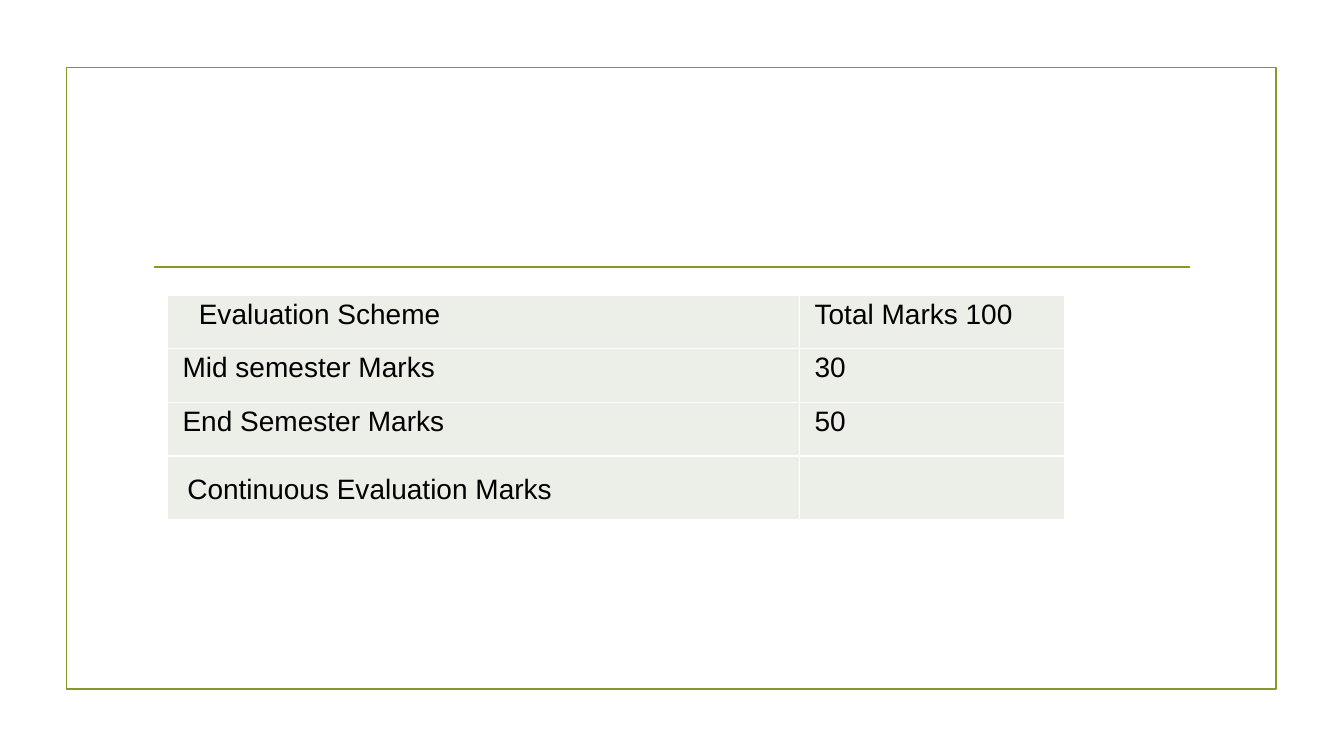
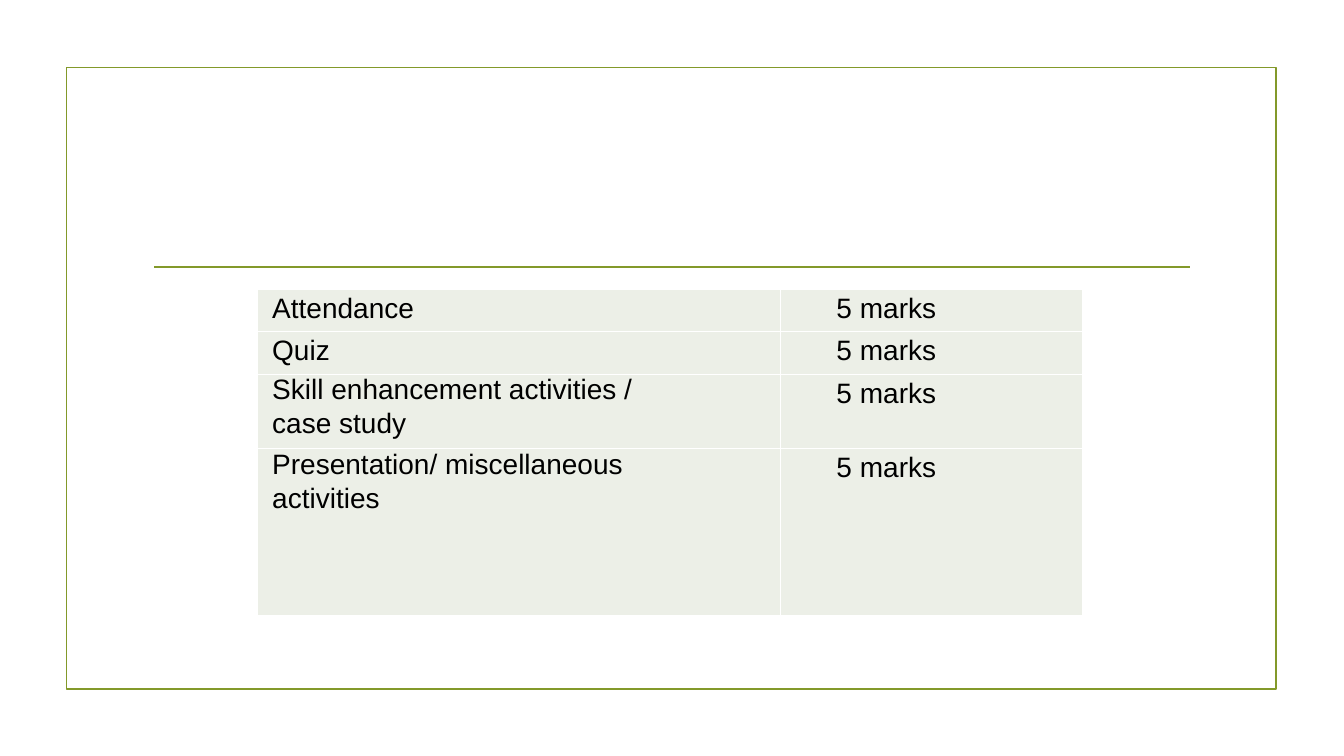
from lxml import etree
from pptx import Presentation
from pptx import util as u
from pptx.dml.color import RGBColor
from pptx.enum import shapes, text
from pptx.oxml import ns

COLOURS = {"accent": "83992A", "cell": "ECEFE7", "ink": "000000", "paper": "FFFFFF"}
FONT = "Arial"
TEXT_SIZE = u.Pt(20)
LINE_WIDTH = u.Pt(1.25)
LINE_SPACING = 1.12
NEAR, MID, WIDE, FAR = 0.2, 0.32, 0.61, 1.24  # text indents in cm


def colour(name):
    return RGBColor.from_string(COLOURS[name])


class Slides:
    """Holds the deck, its style and the page being filled."""

    def __init__(self):
        self.deck = Presentation()
        self.deck.slide_width, self.deck.slide_height = u.Cm(33.87), u.Cm(19.05)
        self.page = None

    def add_page(self):
        self.page = self.deck.slides.add_slide(self.deck.slide_layouts[6])
        self.add_frame(1.68, 1.7, 30.48, 15.67)
        self.add_rule(3.89, 30, 6.73)

    def add_frame(self, left, top, width, height):
        box = self.page.shapes.add_shape(
            shapes.MSO_SHAPE.RECTANGLE, u.Cm(left), u.Cm(top), u.Cm(width), u.Cm(height))
        box.shadow.inherit = False
        box.fill.background()
        self.style_line(box.line)

    def add_rule(self, left, right, top):
        rule = self.page.shapes.add_connector(
            shapes.MSO_CONNECTOR.STRAIGHT, u.Cm(left), u.Cm(top), u.Cm(right), u.Cm(top))
        self.style_line(rule.line)
        etree.SubElement(rule._element.spPr, ns.qn("a:effectLst"))

    def style_line(self, line):
        line.color.rgb = colour("accent")
        line.width = LINE_WIDTH

    def add_table(self, left, top, widths, heights, rows):
        """Each row is a list of (text, indent) cells."""
        table = self.page.shapes.add_table(
            len(heights), len(widths), u.Cm(left), u.Cm(top),
            u.Cm(sum(widths)), u.Cm(sum(heights))).table
        table.first_row = table.horz_banding = False
        for column, width in zip(table.columns, widths):
            column.width = u.Cm(width)
        for table_row, height, row in zip(table.rows, heights, rows):
            table_row.height = u.Cm(height)
            for cell, (words, indent) in zip(table_row.cells, row):
                self.style_cell(cell)
                self.add_text(cell, words, indent)
        return table

    def style_cell(self, cell):
        cell.margin_left = cell.margin_right = u.Cm(0.18)
        cell.margin_top = cell.margin_bottom = 0
        cell.fill.solid()
        cell.fill.fore_color.rgb = colour("cell")
        properties = cell._tc.get_or_add_tcPr()
        for place, side in enumerate(("lnL", "lnR", "lnT", "lnB")):
            border = etree.Element(ns.qn("a:" + side), w=str(u.Pt(1)))
            fill = etree.SubElement(border, ns.qn("a:solidFill"))
            etree.SubElement(fill, ns.qn("a:srgbClr"), val=COLOURS["paper"])
            properties.insert(place, border)

    def add_text(self, cell, words, indent):
        """Single lines are spaced loosely; cells with several lines are set tight."""
        lines = words.splitlines()
        for number, line in enumerate(lines):
            para = cell.text_frame.paragraphs[0] if number == 0 else cell.text_frame.add_paragraph()
            para.line_spacing = LINE_SPACING if len(lines) == 1 else 1.0
            if number:
                para.space_before = u.Pt(2)
            para._p.get_or_add_pPr().set("marL", str(u.Cm(indent)))
            span = para.add_run()
            span.text = line
            span.font.name = FONT
            span.font.size = TEXT_SIZE
            span.font.color.rgb = colour("ink")


def add_scheme(slides):
    slides.add_page()
    table = slides.add_table(4.22, 7.44, [15.93, 6.68], [1.35, 1.35, 1.35, 1.6], [
        [("Evaluation Scheme", WIDE), ("Total Marks 100", NEAR)],
        [("Mid semester Marks", NEAR), ("30", NEAR)],
        [("End Semester Marks", NEAR), ("50", NEAR)],
        [("Continuous Evaluation Marks", MID), ("", NEAR)],
    ])
    table.cell(3, 0).vertical_anchor = text.MSO_ANCHOR.MIDDLE


def add_continuous_marks(slides):
    slides.add_page()
    activities = [
        "Attendance",
        "Quiz",
        "Skill enhancement activities /\ncase study",
        "Presentation/ miscellaneous\nactivities",
    ]
    slides.add_table(6.48, 7.29, [13.18, 7.62], [1.07, 1.07, 1.88, 4.19],
                     [[(activity, NEAR), ("5 marks", FAR)] for activity in activities])


def main():
    slides = Slides()
    add_scheme(slides)
    add_continuous_marks(slides)
    slides.deck.save("out.pptx")


if __name__ == "__main__":
    main()
